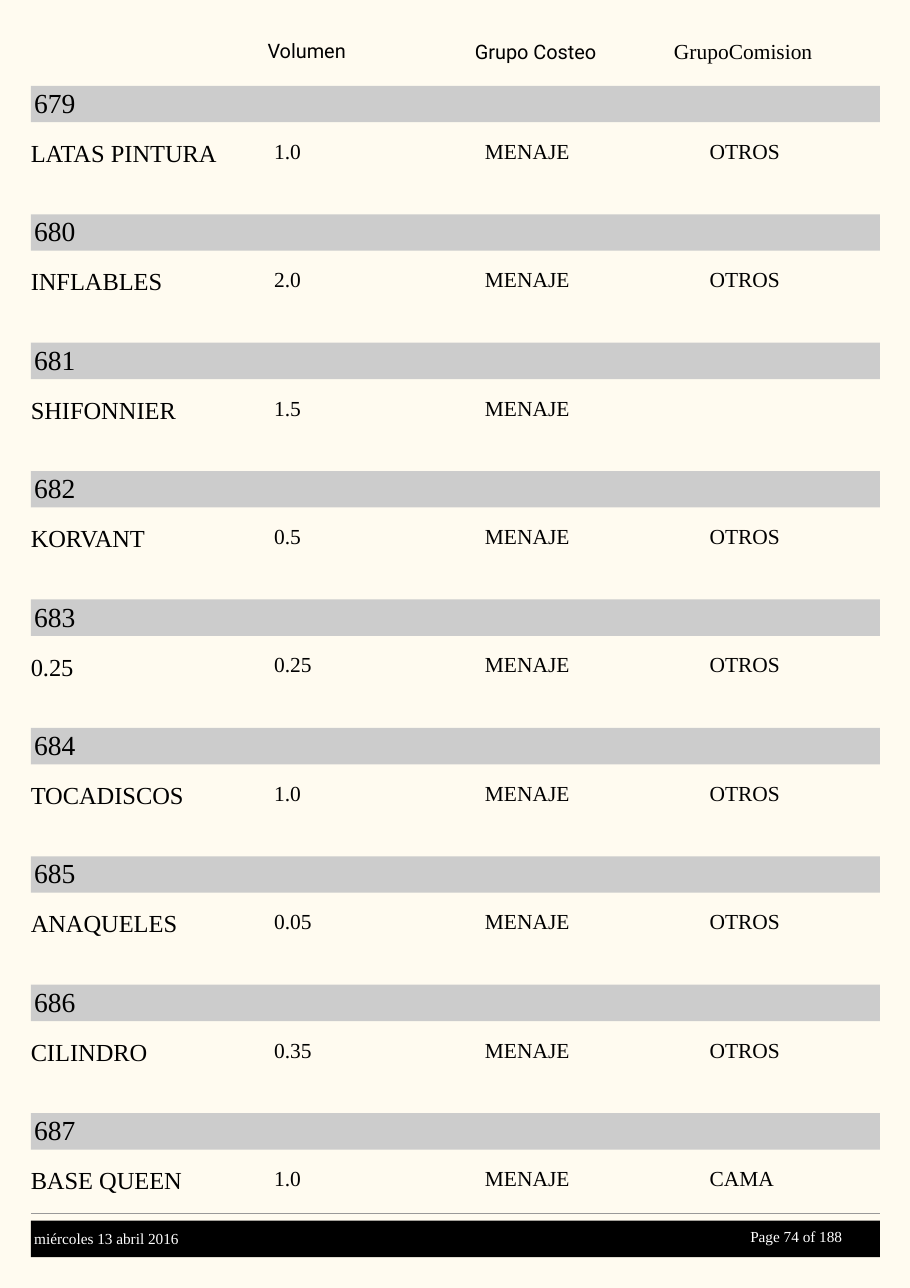
from dataclasses import dataclass

from lxml.etree import SubElement
from pptx import Presentation
from pptx.dml.color import RGBColor
from pptx.enum.shapes import MSO_CONNECTOR, MSO_SHAPE
from pptx.enum.text import MSO_ANCHOR, PP_ALIGN
from pptx.oxml.ns import qn
from pptx.slide import Slide
from pptx.util import Cm, Pt

CREAM = RGBColor(0xFF, 0xFB, 0xF0)
BLACK = RGBColor(0x00, 0x00, 0x00)
WHITE = RGBColor(0xFF, 0xFF, 0xFF)
BAND_GREY = RGBColor(0xCC, 0xCC, 0xCC)
RULE_GREY = RGBColor(0x99, 0x99, 0x99)

SERIF = "Times New Roman"
SANS = "Roboto"

MARGIN = 0.71
CONTENT_WIDTH = 19.58
BAND_HEIGHT = 0.84
INSET_LEFT = 0.79
FIRST_BAND_TOP = 1.98
ITEM_PITCH = 2.96
DETAIL_OFFSET = 1.2
DETAIL_LEFTS = (6.32, 11.18, 16.36)
RULE_TOP = 27.97
FOOTER_TOP = 28.14


@dataclass(frozen=True)
class Label:
    text: str
    left: float
    top: float
    width: float
    height: float
    size: float
    font: str = SERIF
    color: RGBColor = BLACK
    align: PP_ALIGN = PP_ALIGN.LEFT
    anchor: MSO_ANCHOR = MSO_ANCHOR.TOP


@dataclass(frozen=True)
class Item:
    code: str
    name: str
    volume: str
    cost_group: str = "MENAJE"
    commission_group: str = "OTROS"


HEADERS = (
    Label("GrupoComision", 15.54, 0.89, 3.91, 0.64, 14),
    Label("Grupo Costeo", 10.95, 0.91, 3.53, 0.71, 13, SANS),
    Label("Volumen", 6.17, 0.89, 3.53, 0.71, 13, SANS),
)

ITEMS = (
    Item("679", "LATAS PINTURA", "1.0"),
    Item("680", "INFLABLES", "2.0"),
    Item("681", "SHIFONNIER", "1.5", commission_group=""),
    Item("682", "KORVANT", "0.5"),
    Item("683", "0.25", "0.25"),
    Item("684", "TOCADISCOS", "1.0"),
    Item("685", "ANAQUELES", "0.05"),
    Item("686", "CILINDRO", "0.35"),
    Item("687", "BASE QUEEN", "1.0", commission_group="CAMA"),
)

FOOTER_LABELS = (
    Label(" 188", 18.8, FOOTER_TOP, 1.42, 0.71, 10, color=WHITE,
          anchor=MSO_ANCHOR.MIDDLE),
    Label("Page 74 of", 15.98, FOOTER_TOP, 2.82, 0.71, 10, color=WHITE,
          align=PP_ALIGN.RIGHT, anchor=MSO_ANCHOR.MIDDLE),
    Label("miércoles 13 abril 2016", INSET_LEFT, 28.19, 6.96, 0.71, 10,
          color=WHITE, anchor=MSO_ANCHOR.MIDDLE),
)


def add_label(slide: Slide, label: Label) -> None:
    shape = slide.shapes.add_textbox(
        Cm(label.left), Cm(label.top), Cm(label.width), Cm(label.height))
    frame = shape.text_frame
    frame.word_wrap = True
    frame.vertical_anchor = label.anchor
    frame.margin_left = frame.margin_right = 0
    frame.margin_top = frame.margin_bottom = 0
    paragraph = frame.paragraphs[0]
    paragraph.alignment = label.align
    run = paragraph.add_run()
    run.text = label.text
    run.font.name = label.font
    run.font.size = Pt(label.size)
    run.font.color.rgb = label.color


def add_band(slide: Slide, top: float, color: RGBColor) -> None:
    shape = slide.shapes.add_shape(
        MSO_SHAPE.RECTANGLE,
        Cm(MARGIN), Cm(top), Cm(CONTENT_WIDTH), Cm(BAND_HEIGHT))
    shape.shadow.inherit = False
    shape.fill.solid()
    shape.fill.fore_color.rgb = color
    shape.line.fill.background()


def add_item(slide: Slide, item: Item, top: float) -> None:
    add_band(slide, top, BAND_GREY)
    add_label(slide, Label(item.code, INSET_LEFT, top, 13.69, BAND_HEIGHT, 18))
    detail_top = top + DETAIL_OFFSET
    add_label(slide, Label(item.name, MARGIN, detail_top, CONTENT_WIDTH, 0.91, 16))
    details = (item.volume, item.cost_group, item.commission_group)
    for left, text in zip(DETAIL_LEFTS, details):
        if text:
            add_label(slide, Label(text, left, detail_top, 3.91, 0.64, 14))


def add_footer_rule(slide: Slide) -> None:
    connector = slide.shapes.add_connector(
        MSO_CONNECTOR.STRAIGHT,
        Cm(MARGIN), Cm(RULE_TOP), Cm(MARGIN + CONTENT_WIDTH), Cm(RULE_TOP))
    connector.line.color.rgb = RULE_GREY
    connector.line.width = Pt(0.5)
    SubElement(connector._element.spPr, qn("a:effectLst"))


def main() -> None:
    presentation = Presentation()
    presentation.slide_width = Cm(20.98)
    presentation.slide_height = Cm(29.69)
    slide = presentation.slides.add_slide(presentation.slide_layouts[6])
    slide.background.fill.solid()
    slide.background.fill.fore_color.rgb = CREAM

    for header in HEADERS:
        add_label(slide, header)
    for index, item in enumerate(ITEMS):
        add_item(slide, item, FIRST_BAND_TOP + index * ITEM_PITCH)

    add_footer_rule(slide)
    add_band(slide, FOOTER_TOP, BLACK)
    for label in FOOTER_LABELS:
        add_label(slide, label)

    presentation.save("out.pptx")


if __name__ == "__main__":
    main()
